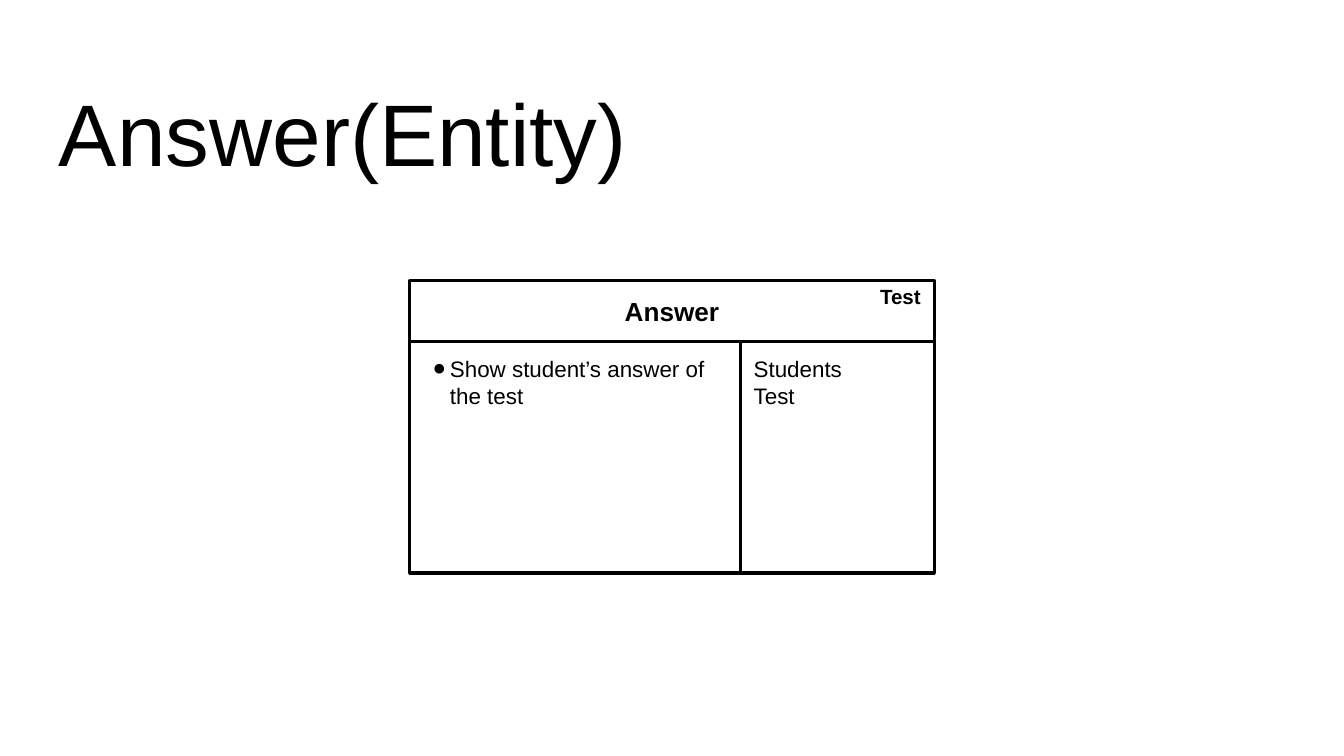
import dataclasses
import typing

import lxml.etree
import pptx
import pptx.dml.color
import pptx.enum.shapes
import pptx.enum.text
import pptx.oxml.ns
import pptx.util

Inches = pptx.util.Inches
Align = pptx.enum.text.PP_ALIGN
Anchor = pptx.enum.text.MSO_ANCHOR


@dataclasses.dataclass(frozen=True)
class Theme:
    font: str = "Arial"
    ink: str = "000000"
    paper: str = "FFFFFF"
    title: float = 46.8
    heading: float = 14
    body: float = 12
    label: float = 11
    frame_line: float = 2.25
    cell_line: float = 1.5
    inset: float = 0.1


THEME = Theme()


@dataclasses.dataclass(frozen=True)
class Part:
    left: float
    top: float
    width: float
    height: float
    lines: tuple[str, ...] = ()
    size: float = THEME.body
    bold: bool = False
    align: Align = Align.LEFT
    anchor: Anchor = Anchor.TOP
    outline: typing.Optional[float] = THEME.cell_line
    bullet: str = ""


def rgb(value: str) -> pptx.dml.color.RGBColor:
    return pptx.dml.color.RGBColor.from_string(value)


def add_bullet(paragraph, character: str) -> None:
    properties = paragraph._p.get_or_add_pPr()
    properties.set("marL", str(Inches(0.2)))
    properties.set("indent", str(Inches(-0.13)))
    colour = lxml.etree.SubElement(properties, pptx.oxml.ns.qn("a:buClr"))
    lxml.etree.SubElement(colour, pptx.oxml.ns.qn("a:srgbClr"), val=THEME.ink)
    lxml.etree.SubElement(properties, pptx.oxml.ns.qn("a:buFont"), typeface=THEME.font)
    lxml.etree.SubElement(properties, pptx.oxml.ns.qn("a:buChar"), char=character)


def write_text(frame, part: Part) -> None:
    frame.word_wrap = True
    frame.vertical_anchor = part.anchor
    frame.margin_left = frame.margin_right = Inches(THEME.inset)
    frame.margin_top = frame.margin_bottom = Inches(THEME.inset)
    frame.text = "\n".join(part.lines)
    for paragraph in frame.paragraphs:
        paragraph.alignment = part.align
        if part.bullet:
            add_bullet(paragraph, part.bullet)
        for run in paragraph.runs:
            run.font.name = THEME.font
            run.font.size = pptx.util.Pt(part.size)
            run.font.bold = part.bold
            run.font.color.rgb = rgb(THEME.ink)


def draw(shapes, part: Part) -> None:
    bounds = [Inches(n) for n in (part.left, part.top, part.width, part.height)]
    if part.outline is None:
        shape = shapes.add_textbox(*bounds)
    else:
        shape = shapes.add_shape(pptx.enum.shapes.MSO_SHAPE.RECTANGLE, *bounds)
        shape.shadow.inherit = False
        shape.fill.solid()
        shape.fill.fore_color.rgb = rgb(THEME.paper)
        shape.line.color.rgb = rgb(THEME.ink)
        shape.line.width = pptx.util.Pt(part.outline)
    if part.lines:
        write_text(shape.text_frame, part)


def main() -> None:
    presentation = pptx.Presentation()
    presentation.slide_width = Inches(10)
    presentation.slide_height = Inches(10 * 9 / 16)
    slide = presentation.slides.add_slide(presentation.slide_layouts[6])

    title = Part(0.34, 0.49, 9.32, 0.63, ("Answer(Entity)",), THEME.title, outline=None)
    draw(slide.shapes, title)

    left, top, width, height = 3.05, 2.09, 3.9, 2.17
    header_height, duties_width = 0.45, 2.46
    body_top, body_height = top + header_height, height - header_height
    partners_left, partners_width = left + duties_width, width - duties_width

    card_parts = (
        Part(left, top, width, height, outline=THEME.frame_line),
        Part(left, top, width, header_height, ("Answer",), THEME.heading, True,
             Align.CENTER, Anchor.MIDDLE),
        Part(left, body_top, duties_width, body_height,
             ("Show student’s answer of the test",), bullet="●"),
        Part(partners_left, body_top, partners_width, body_height, ("Students", "Test")),
        Part(partners_left, top, partners_width, 0.23, ("Test",), THEME.label, True,
             Align.RIGHT, Anchor.MIDDLE, outline=None),
    )
    card = slide.shapes.add_group_shape()
    for part in card_parts:
        draw(card.shapes, part)

    presentation.save("out.pptx")


if __name__ == "__main__":
    main()
